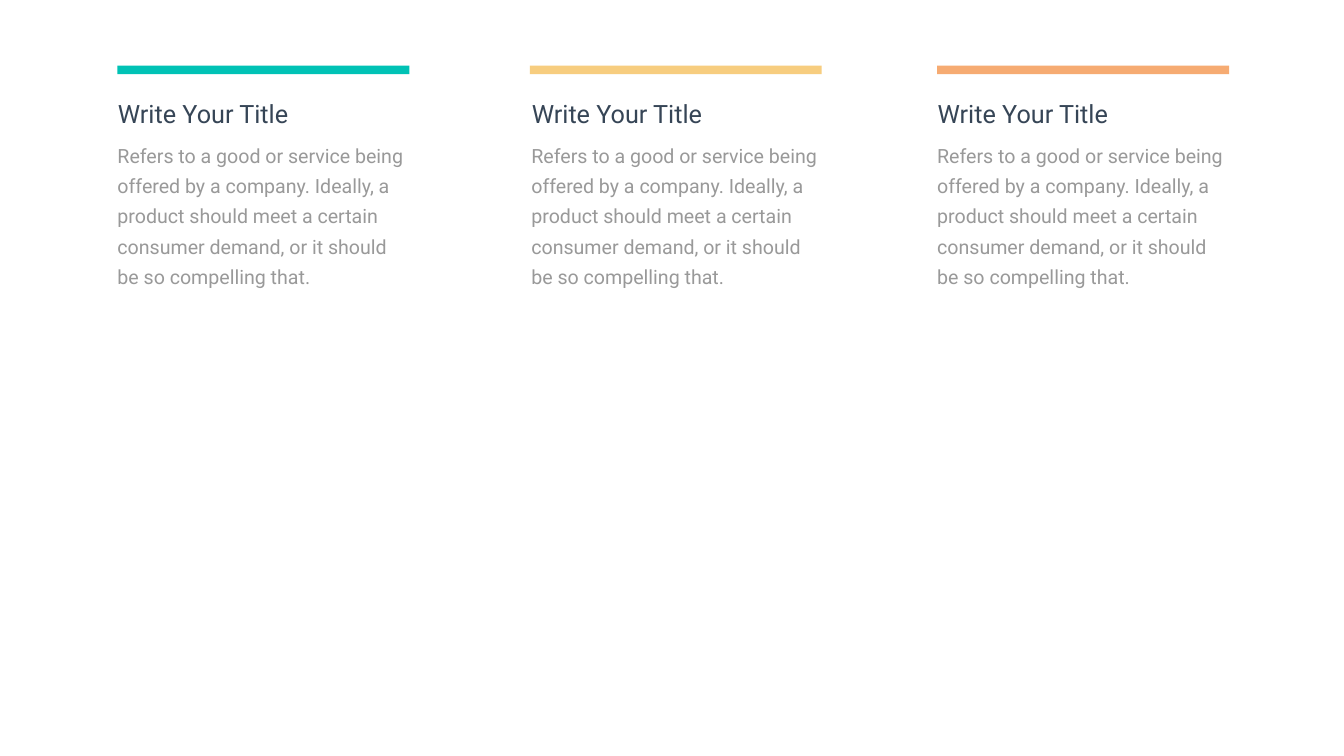
from dataclasses import dataclass

from pptx import Presentation
from pptx.dml.color import RGBColor
from pptx.enum import shapes, text
from pptx.util import Inches, Pt


@dataclass(frozen=True)
class Theme:
    font: str = "Roboto"
    heading_color: str = "364556"
    body_color: str = "999999"
    accents: tuple = ("00C2B5", "F7CD7F", "F6AB72")
    heading_size: int = 36
    body_size: int = 28
    body_leading: int = 43


class SlideBuilder:
    """Holds the theme and the current slide."""

    def __init__(self, slide, theme):
        self.slide = slide
        self.theme = theme

    def bar(self, left, top, width, height, color):
        bar = self.slide.shapes.add_shape(
            shapes.MSO_SHAPE.RECTANGLE,
            Inches(left), Inches(top), Inches(width), Inches(height))
        bar.shadow.inherit = False
        bar.fill.solid()
        bar.fill.fore_color.rgb = RGBColor.from_string(color)
        bar.line.fill.background()

    def text_box(self, left, top, width, height, words, size, color,
                 insets=(0.1, 0.05), leading=None):
        box = self.slide.shapes.add_textbox(
            Inches(left), Inches(top), Inches(width), Inches(height))
        frame = box.text_frame
        frame.word_wrap = True
        frame.auto_size = text.MSO_AUTO_SIZE.SHAPE_TO_FIT_TEXT
        frame.margin_left = frame.margin_right = Inches(insets[0])
        frame.margin_top = frame.margin_bottom = Inches(insets[1])
        para = frame.paragraphs[0]
        para.text = words
        para.font.name = self.theme.font
        para.font.size = Pt(size)
        para.font.color.rgb = RGBColor.from_string(color)
        if leading:
            para.line_spacing = Pt(leading)

    def heading(self, left, top, words):
        self.text_box(left, top, 4.69, 0.71, words,
                      self.theme.heading_size, self.theme.heading_color)

    def body(self, left, top, words):
        self.text_box(left, top, 6.22, 3.19, words,
                      self.theme.body_size, self.theme.body_color,
                      insets=(0.24, 0.12), leading=self.theme.body_leading)


HEADING = "Write Your Title"
BODY = ("Refers to a good or service being offered by a company. Ideally, "
        "a product should meet a certain consumer demand, or it should be "
        "so compelling that.")
# Left edges of the accent bar and the body text in each column
COLUMNS = ((2.33, 2.09), (10.51, 10.3), (18.59, 18.35))
HEADING_INDENT = 0.15


def main():
    deck = Presentation()
    deck.slide_width, deck.slide_height = Inches(26.66), Inches(15)
    blank_layout = deck.slide_layouts[6]
    theme = Theme()
    builder = SlideBuilder(deck.slides.add_slide(blank_layout), theme)

    # Three columns: accent bar, heading, description
    for (bar_left, body_left), accent in zip(COLUMNS, theme.accents):
        builder.body(body_left, 2.61, BODY)
        builder.heading(body_left + HEADING_INDENT, 1.9, HEADING)
        builder.bar(bar_left, 1.3, 5.79, 0.17, accent)

    deck.save("out.pptx")


if __name__ == "__main__":
    main()
